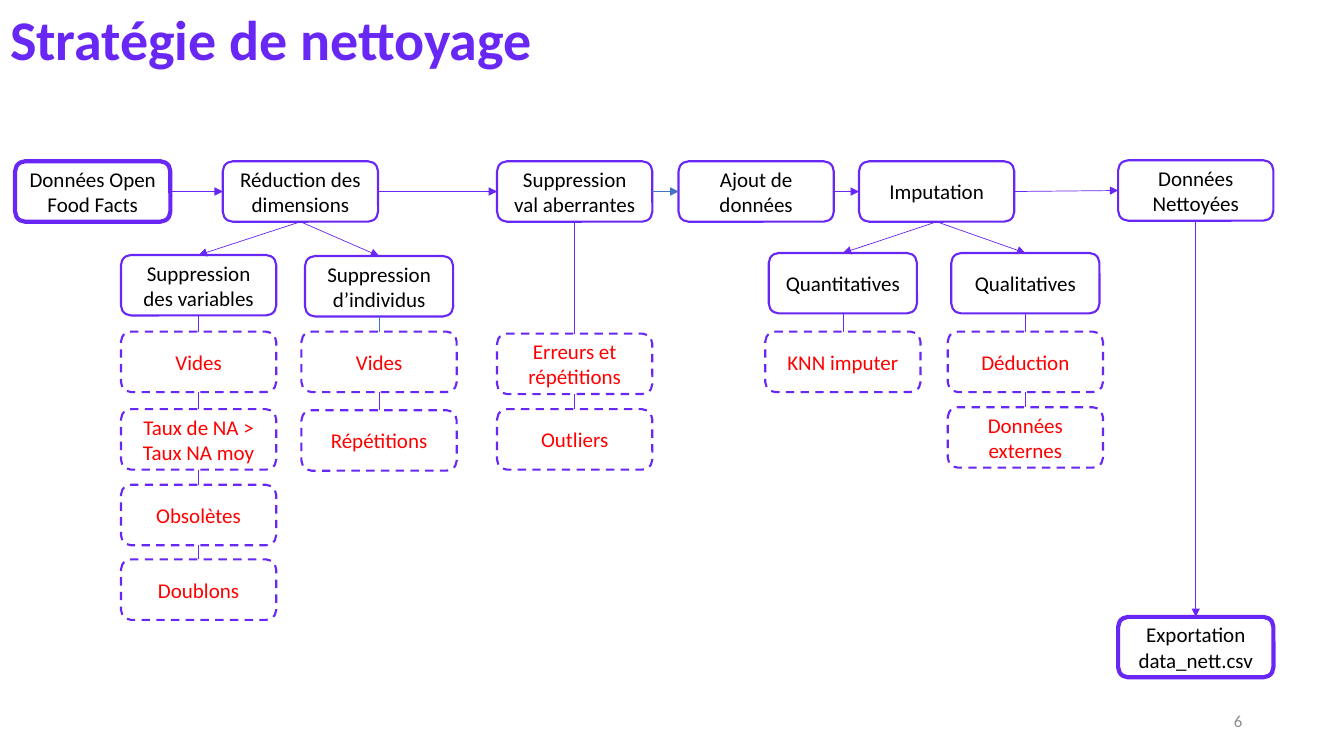
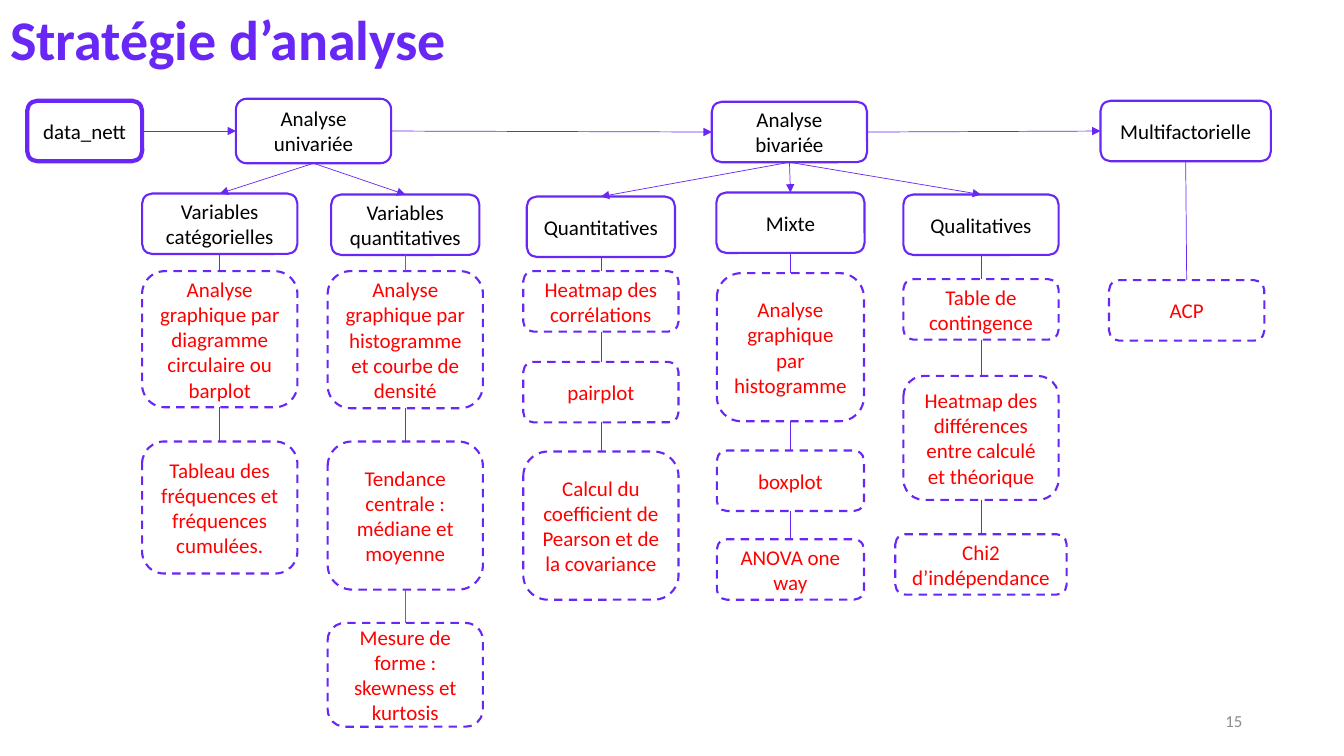
from dataclasses import dataclass
from itertools import pairwise
from typing import Any

from lxml.etree import SubElement
from pptx import Presentation
from pptx.dml.color import RGBColor
from pptx.enum.dml import MSO_LINE
from pptx.enum.shapes import MSO_CONNECTOR, MSO_SHAPE
from pptx.enum.text import MSO_ANCHOR, MSO_AUTO_SIZE, PP_ALIGN
from pptx.oxml.ns import qn
from pptx.shapes.autoshape import Shape
from pptx.slide import Slide
from pptx.text.text import Font, TextFrame
from pptx.util import Inches, Pt

TITLE_ONLY = 5
TOP, LEFT, BOTTOM, RIGHT = range(4)


@dataclass(frozen=True)
class Theme:
    violet: RGBColor = RGBColor(0x68, 0x27, 0xF4)
    blue: RGBColor = RGBColor(0x44, 0x72, 0xC4)
    black: RGBColor = RGBColor(0x00, 0x00, 0x00)
    red: RGBColor = RGBColor(0xFF, 0x00, 0x00)
    grey: RGBColor = RGBColor(0x8C, 0x8C, 0x8C)
    font: str = "Calibri"
    title_size: Pt = Pt(40)
    box_size: Pt = Pt(15)
    number_size: Pt = Pt(12)
    link_width: Pt = Pt(0.5)


THEME = Theme()


@dataclass(frozen=True)
class BoxStyle:
    text_color: RGBColor
    line_format: dict[str, Any]
    arrow: bool = True


STEP = BoxStyle(THEME.black, {"width": Pt(1.5)})
ENDPOINT = BoxStyle(THEME.black, {"width": Pt(3)})
DETAIL = BoxStyle(THEME.red, {"width": Pt(1.5), "dash_style": MSO_LINE.DASH}, arrow=False)


@dataclass(frozen=True)
class Box:
    """A rounded box; link_color is the colour of the line leading to it."""
    text: str
    top: float
    style: BoxStyle = DETAIL
    width: float = 1.54
    height: float = 0.6
    link_color: RGBColor = THEME.violet


@dataclass(frozen=True)
class Branch:
    center: float
    boxes: tuple[Box, ...]


@dataclass(frozen=True)
class Stage:
    center: float
    box: Box
    branches: tuple[Branch, ...] = ()


@dataclass(frozen=True)
class Page:
    title: str
    number: str
    stages: tuple[Stage, ...]


CLEANING = Page("Stratégie de nettoyage", "6", (
    Stage(0.92, Box("Données Open Food Facts", 1.6, ENDPOINT)),
    Stage(2.98, Box("Réduction des dimensions", 1.6, STEP), (
        Branch(1.97, (
            Box("Suppression des variables", 2.53, STEP),
            Box("Vides", 3.29),
            Box("Taux de NA > Taux NA moy", 4.06),
            Box("Obsolètes", 4.81),
            Box("Doublons", 5.55),
        )),
        Branch(3.76, (
            Box("Suppression d’individus", 2.54, STEP, width=1.47),
            Box("Vides", 3.29, link_color=THEME.blue),
            Box("Répétitions", 4.07),
        )),
    )),
    Stage(5.7, Box("Suppression val aberrantes", 1.6, STEP), (
        Branch(5.7, (Box("Erreurs et répétitions", 3.31), Box("Outliers", 4.06))),
    )),
    Stage(7.5, Box("Ajout de données", 1.6, STEP, link_color=THEME.blue)),
    Stage(9.29, Box("Imputation", 1.6, STEP), (
        Branch(8.36, (
            Box("Quantitatives", 2.51, STEP, width=1.47),
            Box("KNN imputer", 3.29),
        )),
        Branch(10.17, (
            Box("Qualitatives", 2.51, STEP, width=1.47),
            Box("Déduction", 3.29),
            Box("Données externes", 4.04),
        )),
    )),
    Stage(11.86, Box("Données Nettoyées", 1.59, STEP), (
        Branch(11.86, (Box("Exportation\ndata_nett.csv", 6.12, ENDPOINT),)),
    )),
))

ANALYSIS = Page("Stratégie d’analyse", "15", (
    Stage(0.84, Box("data_nett", 1, ENDPOINT, width=1.14)),
    Stage(3.11, Box("Analyse univariée", 0.98, STEP, height=0.64), (
        Branch(2.18, (
            Box("Variables catégorielles", 1.92, STEP),
            Box("Analyse graphique par diagramme circulaire ou barplot", 2.69, height=1.35),
            Box("Tableau des fréquences et fréquences cumulées.", 4.38, height=1.31),
        )),
        Branch(4.02, (
            Box("Variables quantitatives", 1.93, STEP, width=1.47),
            Box("Analyse graphique par histogramme et courbe de densité", 2.69,
                height=1.36, link_color=THEME.blue),
            Box("Tendance centrale : médiane et moyenne", 4.38, height=1.47),
            Box("Mesure de forme : skewness et kurtosis", 6.18,
                height=1.03, link_color=THEME.blue),
        )),
    )),
    Stage(7.83, Box("Analyse bivariée", 1.01, STEP), (
        Branch(5.96, (
            Box("Quantitatives", 1.95, STEP, width=1.47),
            Box("Heatmap des corrélations", 2.69),
            Box("pairplot", 3.59),
            Box("Calcul du coefficient de Pearson et de la covariance", 4.48, height=1.47),
        )),
        Branch(7.84, (
            Box("Mixte", 1.91, STEP, width=1.47),
            Box("Analyse graphique par histogramme", 2.71, width=1.46, height=1.47),
            Box("boxplot", 4.47, width=1.46),
            Box("ANOVA one way", 5.35, width=1.46),
        )),
        Branch(9.73, (
            Box("Qualitatives", 1.93, STEP),
            Box("Table de contingence", 2.77),
            Box("Heatmap des différences entre calculé et théorique", 3.73, height=1.23),
            Box("Chi2 d’indépendance", 5.3, width=1.7),
        )),
    )),
    Stage(11.76, Box("Multifactorielle", 1, STEP, width=1.69), (
        Branch(11.77, (Box("ACP", 2.78),)),
    )),
))


def set_values(target: Any, values: dict[str, Any]) -> None:
    for name, value in values.items():
        setattr(target, name, value)


def format_font(font: Font, size: Pt, color: RGBColor, bold: bool = False) -> None:
    set_values(font, {"name": THEME.font, "size": size, "bold": bold})
    font.color.rgb = color


def write_text(frame: TextFrame, text: str, size: Pt, color: RGBColor,
               align: PP_ALIGN, bold: bool = False) -> None:
    set_values(frame, {"word_wrap": True, "auto_size": MSO_AUTO_SIZE.NONE,
                       "vertical_anchor": MSO_ANCHOR.MIDDLE, "text": text})
    for para in frame.paragraphs:
        para.alignment = align
        format_font(para.font, size, color, bold)


def add_title(slide: Slide, text: str) -> None:
    title = slide.shapes.title
    set_values(title, {"left": Inches(0), "top": Inches(0),
                       "width": Inches(6.37), "height": Inches(0.77)})
    frame = title.text_frame
    write_text(frame, text, THEME.title_size, THEME.violet, PP_ALIGN.LEFT, bold=True)
    frame.vertical_anchor = MSO_ANCHOR.BOTTOM
    frame.paragraphs[0].line_spacing = 0.9


def add_page_number(slide: Slide, number: str) -> None:
    box = slide.shapes.add_textbox(Inches(9.42), Inches(6.95), Inches(3), Inches(0.4))
    write_text(box.text_frame, number, THEME.number_size, THEME.grey, PP_ALIGN.RIGHT)


def add_box(slide: Slide, box: Box, center: float) -> Shape:
    shape = slide.shapes.add_shape(
        MSO_SHAPE.ROUNDED_RECTANGLE, Inches(center - box.width / 2), Inches(box.top),
        Inches(box.width), Inches(box.height))
    shape.shadow.inherit = False
    shape.fill.background()
    shape.line.color.rgb = THEME.violet
    set_values(shape.line, box.style.line_format)
    write_text(shape.text_frame, box.text, THEME.box_size, box.style.text_color,
               PP_ALIGN.CENTER)
    return shape


def add_link(slide: Slide, source: Shape, source_side: int,
             target: Shape, target_side: int, box: Box) -> None:
    """Join two shapes, with an arrowhead when the target box calls for one."""
    link = slide.shapes.add_connector(MSO_CONNECTOR.STRAIGHT, 0, 0, 0, 0)
    link.begin_connect(source, source_side)
    link.end_connect(target, target_side)
    link.line.color.rgb = box.link_color
    link.line.width = THEME.link_width
    properties = link._element.spPr
    if box.style.arrow:
        SubElement(properties.find(qn("a:ln")), qn("a:tailEnd"), type="triangle")
    SubElement(properties, qn("a:effectLst"))


def add_branch(slide: Slide, stage_shape: Shape, branch: Branch) -> None:
    shapes = [add_box(slide, box, branch.center) for box in branch.boxes]
    for (upper, lower), box in zip(pairwise([stage_shape, *shapes]), branch.boxes):
        add_link(slide, upper, BOTTOM, lower, TOP, box)


def add_flow(slide: Slide, stages: tuple[Stage, ...]) -> None:
    shapes = [add_box(slide, stage.box, stage.center) for stage in stages]
    for (before, after), stage in zip(pairwise(shapes), stages[1:]):
        add_link(slide, before, RIGHT, after, LEFT, stage.box)
    for shape, stage in zip(shapes, stages):
        for branch in stage.branches:
            add_branch(slide, shape, branch)


def main() -> None:
    deck = Presentation()
    deck.slide_width, deck.slide_height = Inches(13.33), Inches(7.5)
    for page in (CLEANING, ANALYSIS):
        slide = deck.slides.add_slide(deck.slide_layouts[TITLE_ONLY])
        add_title(slide, page.title)
        add_page_number(slide, page.number)
        add_flow(slide, page.stages)
    deck.save("out.pptx")


if __name__ == "__main__":
    main()
